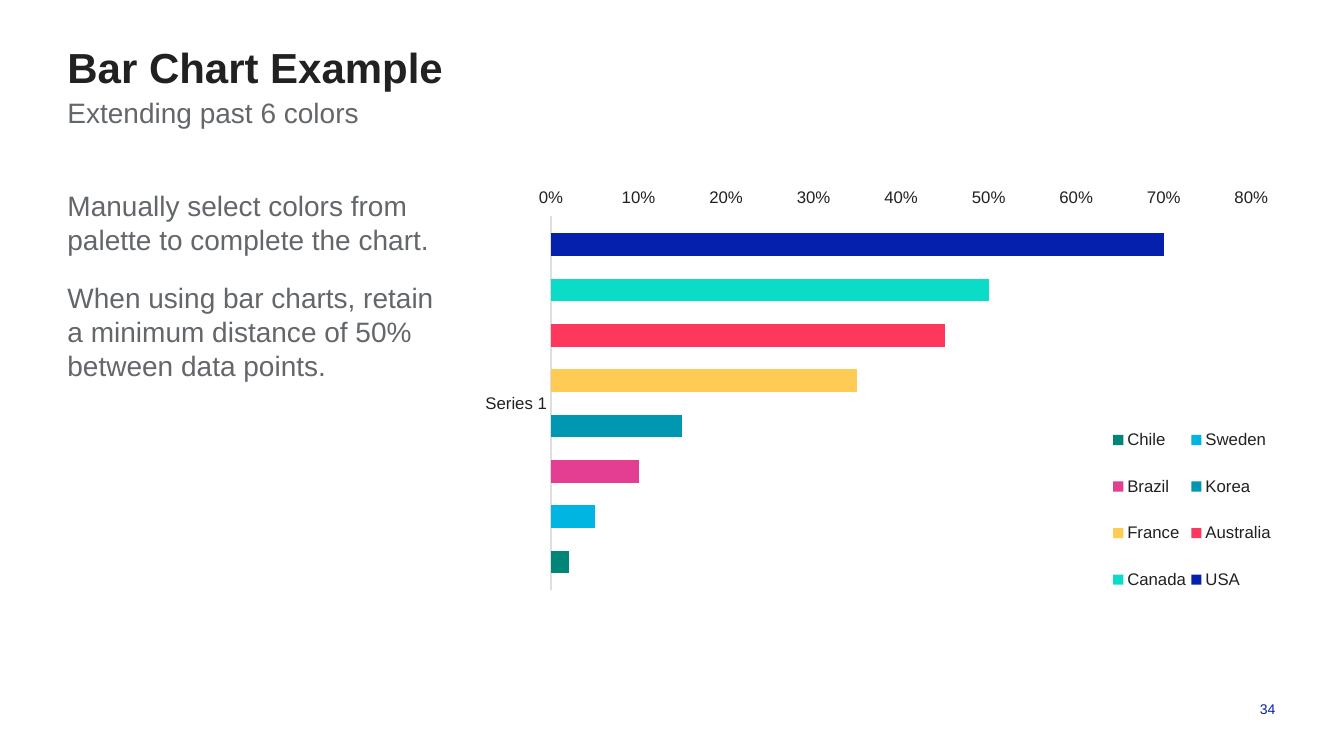
from pptx import Presentation
from pptx.chart.data import CategoryChartData
from pptx.dml.color import RGBColor
from pptx.enum.chart import XL_CHART_TYPE, XL_LEGEND_POSITION, XL_TICK_LABEL_POSITION, XL_TICK_MARK
from pptx.enum.text import MSO_ANCHOR, PP_ALIGN
from pptx.oxml import parse_xml
from pptx.oxml.ns import nsdecls
from pptx.util import Cm, Pt

BAR_CLUSTERED = XL_CHART_TYPE.BAR_CLUSTERED
LEGEND_BOTTOM = XL_LEGEND_POSITION.BOTTOM
LABELS_LOW = XL_TICK_LABEL_POSITION.LOW
NO_TICK = XL_TICK_MARK.NONE
MIDDLE = MSO_ANCHOR.MIDDLE
LEFT, RIGHT = PP_ALIGN.LEFT, PP_ALIGN.RIGHT

FONT = "Arial"
INK = RGBColor(0x21, 0x21, 0x21)
GREY = RGBColor(0x63, 0x66, 0x6A)
RULE = RGBColor(0xDE, 0xDE, 0xDE)
BLUE = RGBColor(0x04, 0x20, 0xAC)
AQUA = RGBColor(0x0B, 0xDC, 0xC7)
RED = RGBColor(0xFE, 0x37, 0x5D)
YELLOW = RGBColor(0xFE, 0xCB, 0x54)
TEAL = RGBColor(0x00, 0x97, 0xB3)
PINK = RGBColor(0xE3, 0x3E, 0x91)
SKY = RGBColor(0x00, 0xB5, 0xE2)
GREEN = RGBColor(0x00, 0x85, 0x78)

COUNTRIES = [
    ("USA", 70, BLUE), ("Canada", 50, AQUA), ("Australia", 45, RED),
    ("France", 35, YELLOW), ("Korea", 15, TEAL), ("Brazil", 10, PINK),
    ("Sweden", 5, SKY), ("Chile", 2, GREEN),
]
ADVICE = [
    "Manually select colors from palette to complete the chart.",
    "When using bar charts, retain a minimum distance of 50% between data points.",
]


def set_font(font, size, color, bold=False):
    font.name = FONT
    font.size = Pt(size)
    font.bold = bold
    font.color.rgb = color


def add_text(slide, box, paragraphs, size, color, bold=False, align=LEFT):
    """Text without margins; lines are 1.2 times the font size apart."""
    tf = slide.shapes.add_textbox(*box).text_frame
    tf.word_wrap = True
    tf.margin_left = tf.margin_right = tf.margin_top = tf.margin_bottom = 0
    for i, text in enumerate(paragraphs):
        p = tf.paragraphs[0] if i == 0 else tf.add_paragraph()
        p.text = text
        p.alignment = align
        p.line_spacing = Pt(size * 1.2)
        if i:
            p.space_before = Pt(18)
        set_font(p.font, size, color, bold)
    return tf


def add_heading(slide, left, top, width):
    add_text(slide, (left, top, width, Cm(1.27)), ["Bar Chart Example"], 30, INK, bold=True)
    add_text(slide, (left, top + Cm(1.37), width, Cm(0.86)),
             ["Extending past 6 colors"], 20, GREY)


def add_page_number(slide, box):
    tf = add_text(slide, box, ["34"], 10, BLUE, align=RIGHT)
    tf.margin_right = Cm(0.25)
    tf.vertical_anchor = MIDDLE


def set_layout(element, x, y, w, h, inner=False):
    """Fix the place of a plot area or legend as fractions of the chart."""
    for old in element.findall("{*}layout"):
        element.remove(old)
    target = '<c:layoutTarget val="inner"/>' if inner else ""
    layout = parse_xml(
        f'<c:layout {nsdecls("c")}><c:manualLayout>{target}'
        '<c:xMode val="edge"/><c:yMode val="edge"/>'
        f'<c:x val="{x}"/><c:y val="{y}"/><c:w val="{w}"/><c:h val="{h}"/>'
        '</c:manualLayout></c:layout>')
    # A legend's layout follows its position; a plot area's comes first
    element.insert(0 if inner else 1, layout)


def add_country_chart(slide, box):
    data = CategoryChartData()
    data.categories = ["Series 1"]
    for name, value, _ in COUNTRIES:
        data.add_series(name, [value])
    chart = slide.shapes.add_chart(BAR_CLUSTERED, *box, data).chart
    chart.has_title = False
    set_font(chart.font, 12, INK)

    # Bars
    plot = chart.plots[0]
    plot.vary_by_categories = False
    plot.gap_width = 150
    plot.overlap = -100
    for series, (_, _, color) in zip(plot.series, COUNTRIES):
        series.format.fill.solid()
        series.format.fill.fore_color.rgb = color
        series.invert_if_negative = False
    set_layout(chart.plots[0]._element.getparent(), 0.094, 0.057, 0.875, 0.81, inner=True)

    # Axes
    countries, share = chart.category_axis, chart.value_axis
    for axis in (countries, share):
        axis.major_tick_mark = axis.minor_tick_mark = NO_TICK
        axis.has_major_gridlines = False
        set_font(axis.tick_labels.font, 12, INK)
    countries.reverse_order = True
    countries.format.line.color.rgb = RULE
    countries.format.line.width = Pt(0.75)
    share.minimum_scale, share.maximum_scale, share.major_unit = 0, 80, 10
    share.tick_label_position = LABELS_LOW
    share.tick_labels.number_format = "General\\%"
    share.tick_labels.number_format_is_linked = False
    share.format.line.fill.background()

    # Legend
    chart.has_legend = True
    legend = chart.legend
    legend.position = LEGEND_BOTTOM
    legend.include_in_layout = False
    set_font(legend.font, 12, INK)
    set_layout(legend._element, 0.79, 0.46, 0.21, 0.465)


def main():
    prs = Presentation()
    prs.slide_width, prs.slide_height = Cm(33.87), Cm(19.05)
    slide = prs.slides.add_slide(prs.slide_layouts[6])
    margin, body_top, body_height = Cm(1.7), Cm(4.75), Cm(11.68)

    add_heading(slide, margin, Cm(1.04), Cm(30.48))
    add_text(slide, (margin, body_top, Cm(9.73), body_height), ADVICE, 20, GREY)
    add_country_chart(slide, (Cm(11.99), body_top, Cm(20.17), body_height))
    add_page_number(slide, (Cm(31.12), Cm(17.4), Cm(1.27), Cm(0.91)))
    prs.save("out.pptx")


if __name__ == "__main__":
    main()
